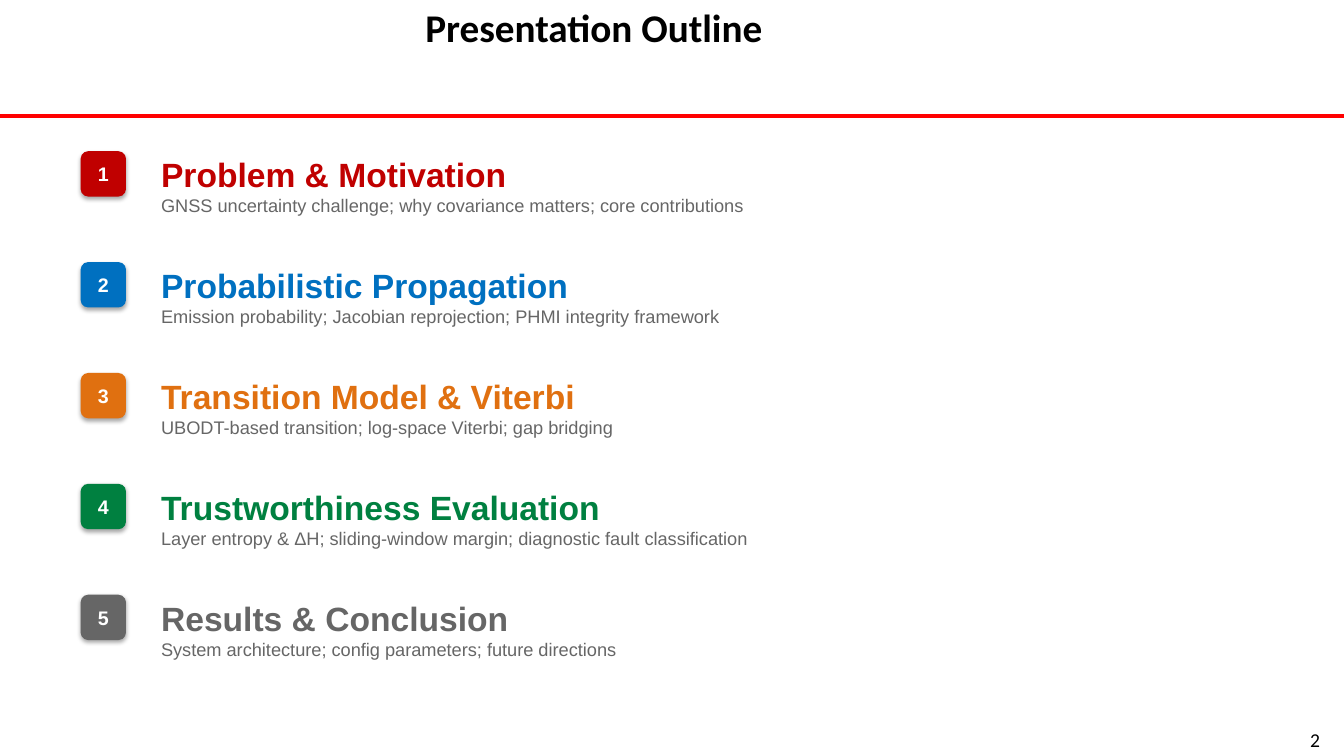
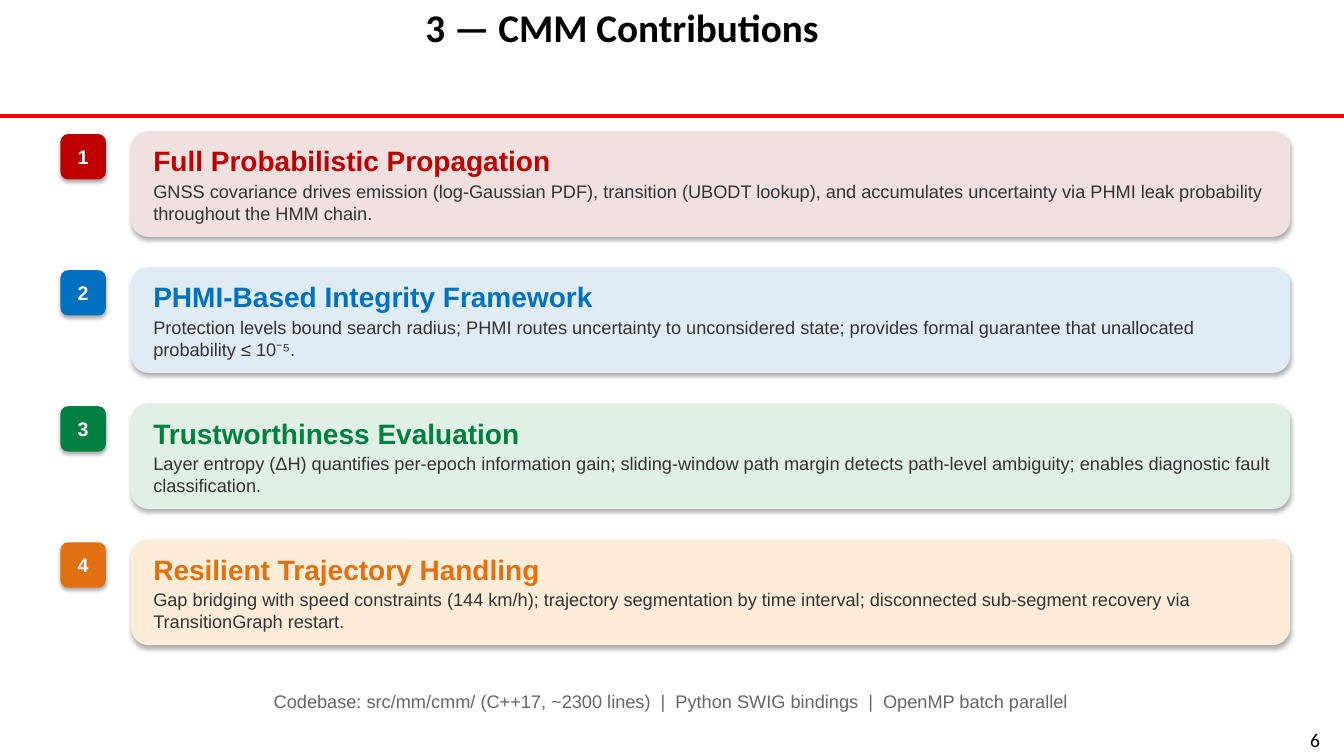
import pptx
import pptx.dml.color
import pptx.enum.shapes
import pptx.enum.text
import pptx.oxml
import pptx.oxml.ns
import pptx.util

Pt = pptx.util.Pt
ALIGN = pptx.enum.text.PP_ALIGN
ANCHOR = pptx.enum.text.MSO_ANCHOR

COLORS = {
    "black": "000000",
    "white": "FFFFFF",
    "rule": "FF0000",
    "red": "C00000",
    "blue": "0070C0",
    "orange": "E07010",
    "green": "008040",
    "gray": "666666",
    "ink": "333333",
    "red tint": "F0E0E0",
    "blue tint": "E0ECF5",
    "green tint": "E0F0E4",
    "orange tint": "FCECD8",
}

SLIDE_WIDTH, SLIDE_HEIGHT = 960, 540
BADGE_SIZE = 32.4
RULE_Y = 82.8

OUTLINE = [
    ("Problem & Motivation", "red",
     "GNSS uncertainty challenge; why covariance matters; core contributions"),
    ("Probabilistic Propagation", "blue",
     "Emission probability; Jacobian reprojection; PHMI integrity framework"),
    ("Transition Model & Viterbi", "orange",
     "UBODT-based transition; log-space Viterbi; gap bridging"),
    ("Trustworthiness Evaluation", "green",
     "Layer entropy & ΔH; sliding-window margin; diagnostic fault classification"),
    ("Results & Conclusion", "gray",
     "System architecture; config parameters; future directions"),
]

CONTRIBUTIONS = [
    ("Full Probabilistic Propagation", "red",
     "GNSS covariance drives emission (log-Gaussian PDF), transition (UBODT lookup), "
     "and accumulates uncertainty via PHMI leak probability throughout the HMM chain."),
    ("PHMI-Based Integrity Framework", "blue",
     "Protection levels bound search radius; PHMI routes uncertainty to unconsidered "
     "state; provides formal guarantee that unallocated probability ≤ 10⁻⁵."),
    ("Trustworthiness Evaluation", "green",
     "Layer entropy (ΔH) quantifies per-epoch information gain; sliding-window path "
     "margin detects path-level ambiguity; enables diagnostic fault classification."),
    ("Resilient Trajectory Handling", "orange",
     "Gap bridging with speed constraints (144 km/h); trajectory segmentation by time "
     "interval; disconnected sub-segment recovery via TransitionGraph restart."),
]

CODEBASE = ("Codebase: src/mm/cmm/ (C++17, ~2300 lines)  |  "
            "Python SWIG bindings  |  OpenMP batch parallel")


def rgb(color):
    return pptx.dml.color.RGBColor.from_string(COLORS[color])


def write(paragraph, text, size, color, bold=False, align=ALIGN.LEFT, face="Arial"):
    paragraph.text = text
    paragraph.alignment = align
    font = paragraph.font
    font.name, font.size, font.bold = face, Pt(size), bold
    font.color.rgb = rgb(color)


def add_label(slide, box, text, size, color, wrap=True, **style):
    label = slide.shapes.add_textbox(*map(Pt, box))
    label.text_frame.word_wrap = wrap
    write(label.text_frame.paragraphs[0], text, size, color, **style)


def add_rounded_box(slide, box, fill):
    """Add a borderless rounded box that keeps the theme's soft shadow."""
    rounded = slide.shapes.add_shape(
        pptx.enum.shapes.MSO_SHAPE.ROUNDED_RECTANGLE, *map(Pt, box))
    rounded.fill.solid()
    rounded.fill.fore_color.rgb = rgb(fill)
    rounded.line.fill.background()
    rounded.text_frame.word_wrap = True
    rounded.text_frame.vertical_anchor = ANCHOR.MIDDLE
    return rounded


def add_badge(slide, left, top, number, color):
    badge = add_rounded_box(slide, (left, top, BADGE_SIZE, BADGE_SIZE), color)
    write(badge.text_frame.paragraphs[0], str(number), 14, "white",
          bold=True, align=ALIGN.CENTER)


def add_card(slide, box, heading, color, detail):
    card = add_rounded_box(slide, box, color + " tint")
    frame = card.text_frame
    frame.margin_left = Pt(12.24)
    write(frame.paragraphs[0], heading, 20, color, bold=True)
    explanation = frame.add_paragraph()
    write(explanation, detail, 13, "ink")
    explanation.space_before = explanation.space_after = Pt(2)


def add_rule_to_layout(layout, slide):
    """Draw the header rule on a slide, then move it to the shared layout."""
    rule = slide.shapes.add_connector(
        pptx.enum.shapes.MSO_CONNECTOR.STRAIGHT,
        Pt(0), Pt(RULE_Y), Pt(SLIDE_WIDTH), Pt(RULE_Y))
    rule.line.color.rgb = rgb("rule")
    rule.line.width = Pt(3)
    properties = rule.element.find(pptx.oxml.ns.qn("p:spPr"))
    properties.append(pptx.oxml.parse_xml(
        f"<a:effectLst {pptx.oxml.ns.nsdecls('a')}/>"))
    layout.shapes.element.append(rule.element)


def place_title(layout):
    title = layout.placeholders[0]
    title.left, title.top = Pt(296.64), Pt(-1.44)
    title.width, title.height = Pt(640.8), Pt(82.8)
    title.text_frame.vertical_anchor = ANCHOR.TOP
    title.text_frame.auto_size = pptx.enum.text.MSO_AUTO_SIZE.NONE


def add_page(presentation, layout, title, number):
    slide = presentation.slides.add_slide(layout)
    write(slide.shapes.title.text_frame.paragraphs[0], title, 28, "black",
          bold=True, face="Calibri")
    add_label(slide, (923.8, 516.2, 31, 23.8), str(number), 14, "black",
              wrap=False, align=ALIGN.CENTER, face="Calibri")
    return slide


def fill_outline(slide):
    for index, (heading, color, detail) in enumerate(OUTLINE):
        top = 108 + 79.2 * index
        add_badge(slide, 57.6, top, index + 1, color)
        add_label(slide, (108, top - 1.44, 792, 28.8), heading, 24, color, bold=True)
        add_label(slide, (108, top + 27.36, 792, 36), detail, 13, "gray")


def fill_contributions(slide):
    for index, (heading, color, detail) in enumerate(CONTRIBUTIONS):
        top = 93.6 + 97.2 * index
        add_badge(slide, 43.2, top + 2.16, index + 1, color)
        add_card(slide, (93.6, top, 828, 75.6), heading, color, detail)
    add_label(slide, (43.2, 489.6, 871.2, 21.6), CODEBASE, 13, "gray",
              align=ALIGN.CENTER)


def main():
    presentation = pptx.Presentation()
    presentation.slide_width = Pt(SLIDE_WIDTH)
    presentation.slide_height = Pt(SLIDE_HEIGHT)
    layout = presentation.slide_layouts.get_by_name("Title Only")
    place_title(layout)

    outline = add_page(presentation, layout, "Presentation Outline", 2)
    add_rule_to_layout(layout, outline)
    fill_outline(outline)
    fill_contributions(add_page(presentation, layout, "3 — CMM Contributions", 6))

    presentation.save("out.pptx")


if __name__ == "__main__":
    main()
